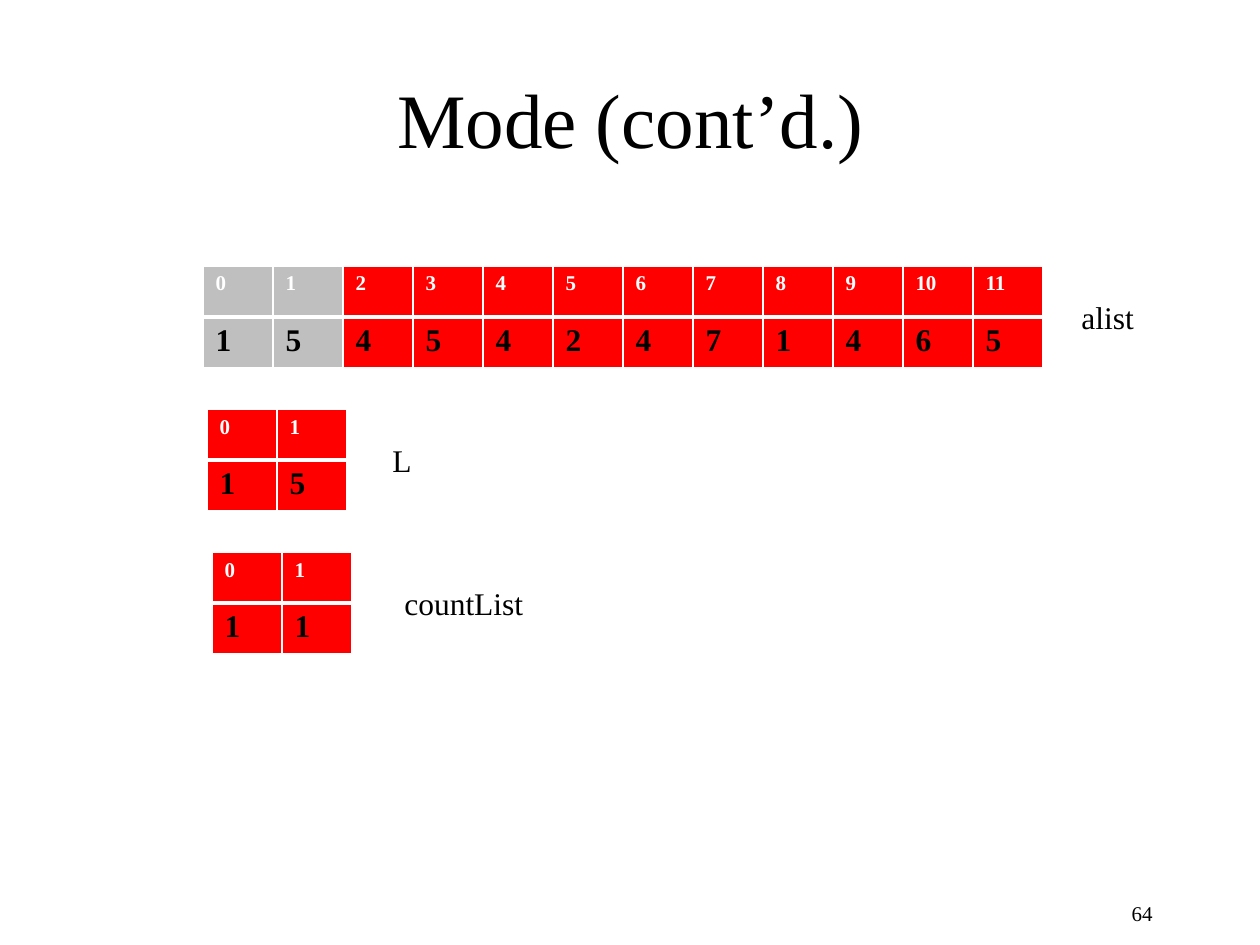
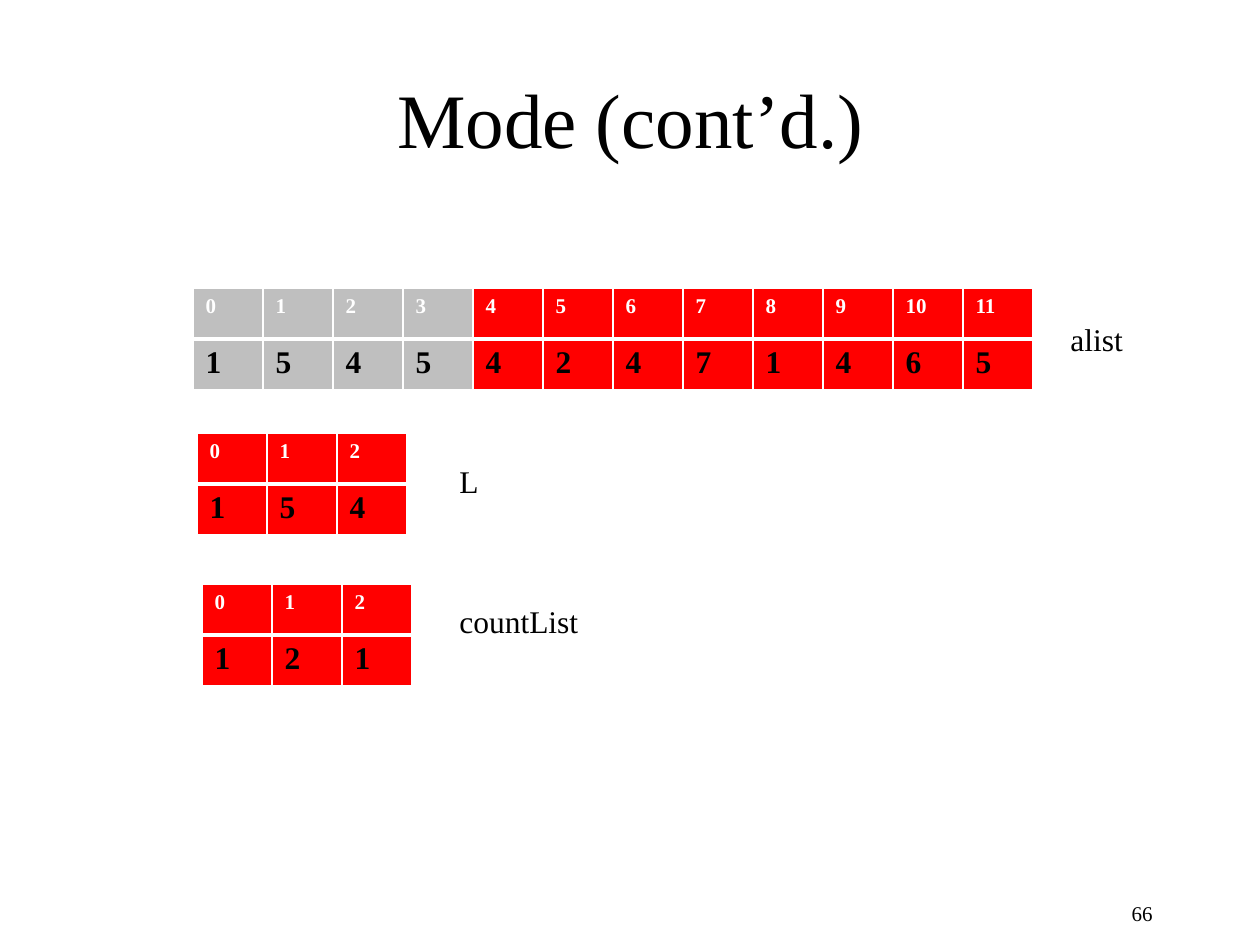
from lxml import etree
from pptx import Presentation
from pptx import util as u
from pptx.dml.color import RGBColor
from pptx.enum import text
from pptx.oxml.ns import qn

FONT = "Times New Roman"
RED, GRAY, BLACK, WHITE = "FF0000", "BFBFBF", "000000", "FFFFFF"
PX = u.Inches(1) / 126
COLUMN_WIDTH, ROW_HEIGHT = 70, 51
LABEL_HEIGHT = 50
TITLE = "Mode (cont’d.)"
TITLE_BOX = (95, 39, 1071, 158)
NUMBER_BOX = (903, 882, 262, 63)
ALIST = [1, 5, 4, 5, 4, 2, 4, 7, 1, 4, 6, 5]

SLIDES = [
    {"number": 64, "lists": [
        {"name": "alist", "values": ALIST, "visited": 2, "at": (203, 266), "label": (1069, 292, 97)},
        {"name": "L", "values": [1, 5], "visited": 0, "at": (207, 409), "label": (380, 435, 97)},
        {"name": "countList", "values": [1, 1], "visited": 0, "at": (212, 552), "label": (392, 578, 149)},
    ]},
    {"number": 66, "lists": [
        {"name": "alist", "values": ALIST, "visited": 4, "at": (193, 288), "label": (1058, 314, 97)},
        {"name": "L", "values": [1, 5, 4], "visited": 0, "at": (197, 433), "label": (447, 456, 97)},
        {"name": "countList", "values": [1, 2, 1], "visited": 0, "at": (202, 584), "label": (447, 596, 149)},
    ]},
]


def px(length):
    return u.Emu(round(length * PX))


def color(value):
    return RGBColor.from_string(value)


def write(frame, words, size, ink=BLACK, bold=False, align=text.PP_ALIGN.LEFT):
    paragraph = frame.paragraphs[0]
    paragraph.alignment = align
    run = paragraph.add_run()
    run.text = str(words)
    run.font.name = FONT
    run.font.size = u.Pt(size)
    run.font.bold = bold
    run.font.color.rgb = color(ink)


def add_text(slide, box, words, size, align=text.PP_ALIGN.LEFT, anchor=text.MSO_ANCHOR.TOP):
    frame = slide.shapes.add_textbox(*map(px, box)).text_frame
    frame.word_wrap = True
    frame.vertical_anchor = anchor
    write(frame, words, size, align=align)


def set_borders(cell, widths):
    properties = cell._tc.get_or_add_tcPr()
    for side, width in widths.items():
        line = etree.SubElement(properties, qn(f"a:ln{side}"), w=str(u.Pt(width)))
        fill = etree.SubElement(line, qn("a:solidFill"))
        etree.SubElement(fill, qn("a:srgbClr"), val=WHITE)


def add_list(slide, item):
    values = item["values"]
    size = (COLUMN_WIDTH * len(values), ROW_HEIGHT * 2)
    table = slide.shapes.add_table(2, len(values), *map(px, item["at"] + size)).table
    table.horz_banding = False
    rows = [
        (range(len(values)), 12, WHITE, {"L": 1, "R": 1, "T": 1, "B": 3}),
        (values, 18, BLACK, {"L": 1, "R": 1, "T": 3, "B": 1}),
    ]
    for column in table.columns:
        column.width = px(COLUMN_WIDTH)
    for row, (entries, font_size, ink, borders) in enumerate(rows):
        table.rows[row].height = px(ROW_HEIGHT)
        for index, entry in enumerate(entries):
            cell = table.cell(row, index)
            set_borders(cell, borders)
            cell.fill.solid()
            cell.fill.fore_color.rgb = color(GRAY if index < item["visited"] else RED)
            write(cell.text_frame, entry, font_size, ink, bold=True)
    left, top, width = item["label"]
    add_text(slide, (left, top, width, LABEL_HEIGHT), item["name"], 18)


def add_title(slide):
    title = slide.shapes.title
    title.left, title.top, title.width, title.height = map(px, TITLE_BOX)
    title.text_frame.vertical_anchor = text.MSO_ANCHOR.MIDDLE
    write(title.text_frame, TITLE, 44, align=text.PP_ALIGN.CENTER)


def main():
    presentation = Presentation()
    presentation.slide_width = u.Inches(10)
    presentation.slide_height = u.Inches(7.5)
    for content in SLIDES:
        slide = presentation.slides.add_slide(presentation.slide_layouts[5])
        add_title(slide)
        for item in content["lists"]:
            add_list(slide, item)
        add_text(slide, NUMBER_BOX, content["number"], 12,
                 text.PP_ALIGN.RIGHT, text.MSO_ANCHOR.MIDDLE)
    presentation.save("out.pptx")


if __name__ == "__main__":
    main()
